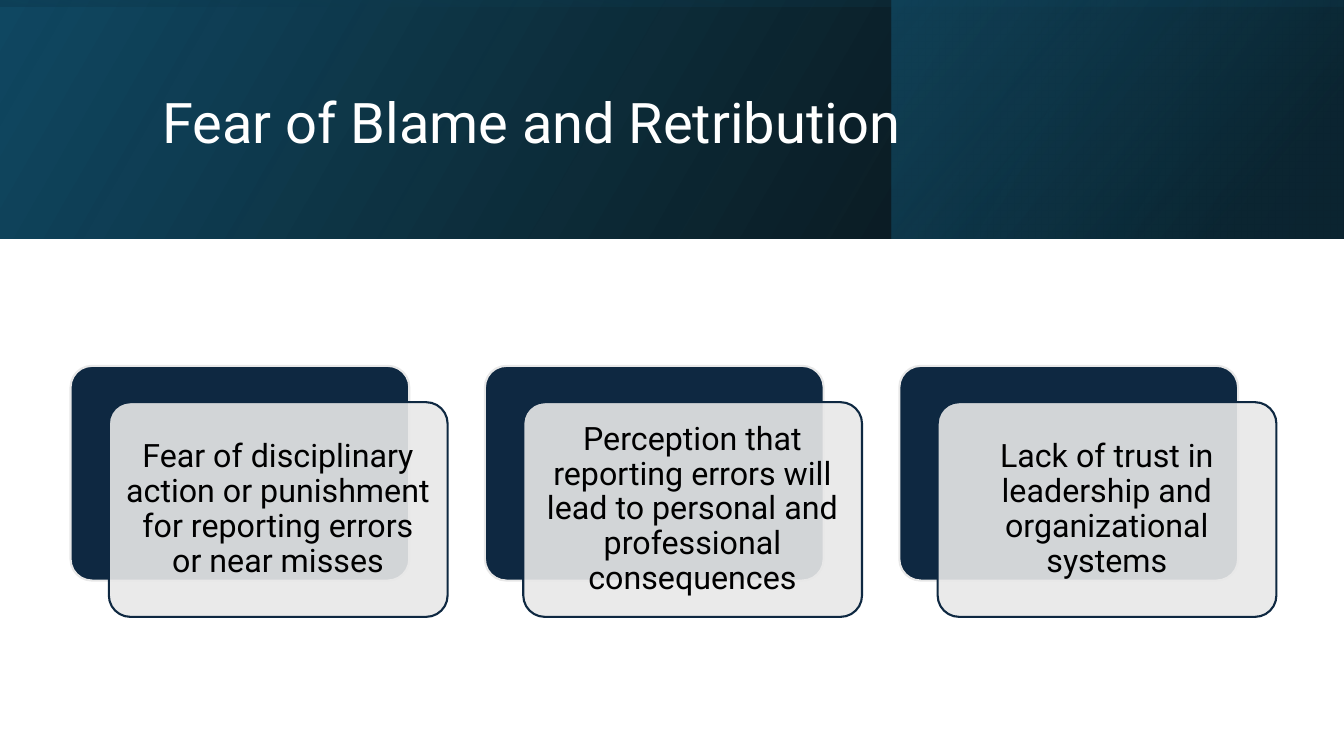
from lxml import etree
from pptx import Presentation
from pptx.dml.color import RGBColor
from pptx.enum.shapes import MSO_SHAPE as Shape
from pptx.enum.text import MSO_ANCHOR as Anchor, PP_ALIGN as Align
from pptx.oxml.ns import qn
from pptx.util import Inches, Pt

NAVY, LIGHT, BLACK, WHITE = "0E2841", "E8E8E8", "000000", "FFFFFF"


def color(value):
    return RGBColor.from_string(value)


def add_alpha(color_element, percent):
    etree.SubElement(color_element, qn("a:alpha"), val=str(percent * 1000))


class SlideBuilder:
    font_name = "Roboto"

    def __init__(self, slide):
        self.slide = slide

    def set_text(self, shape, text, size, text_color, align):
        frame = shape.text_frame
        frame.word_wrap = True
        frame.vertical_anchor = Anchor.MIDDLE
        frame.text = text
        paragraph = frame.paragraphs[0]
        paragraph.alignment = align
        paragraph.line_spacing = 0.9
        font = paragraph.runs[0].font
        font.name = self.font_name
        font.size = Pt(size)
        font.color.rgb = color(text_color)
        return frame

    def gradient_band(self, box, stops, angle, rotation=0):
        shape = self.slide.shapes.add_shape(Shape.RECTANGLE, *map(Inches, box))
        shape.shadow.inherit = False
        shape.line.fill.background()
        shape.rotation = rotation
        properties = shape._element.spPr
        properties.find(qn("a:xfrm")).set("flipH", "1")
        gradient = etree.Element(qn("a:gradFill"), rotWithShape="1")
        stop_list = etree.SubElement(gradient, qn("a:gsLst"))
        for position, value, opacity in stops:
            stop = etree.SubElement(stop_list, qn("a:gs"), pos=str(position * 1000))
            add_alpha(etree.SubElement(stop, qn("a:srgbClr"), val=value), opacity)
        etree.SubElement(gradient, qn("a:lin"), ang=str(angle * 60000), scaled="0")
        properties.find(qn("a:prstGeom")).addnext(gradient)

    def title(self, box, text):
        shape = self.slide.shapes.add_textbox(*map(Inches, box))
        self.set_text(shape, text, 40, WHITE, Align.LEFT)

    def panel(self, left, top, fill, line):
        shape = self.slide.shapes.add_shape(
            Shape.ROUNDED_RECTANGLE, Inches(left), Inches(top), Inches(3.36), Inches(2.13))
        shape.adjustments[0] = 0.1
        shape.shadow.inherit = False
        shape.fill.solid()
        shape.fill.fore_color.rgb = color(fill)
        shape.line.color.rgb = color(line)
        shape.line.width = Pt(1.5)
        return shape

    def card(self, left, top, text):
        self.panel(left, top, NAVY, LIGHT)
        front = self.panel(left + 0.38, top + 0.36, LIGHT, NAVY)
        fill = front._element.spPr.find(qn("a:solidFill"))
        add_alpha(fill.find(qn("a:srgbClr")), 90)
        frame = self.set_text(front, text, 23, BLACK, Align.CENTER)
        frame.margin_left = frame.margin_right = Inches(0.1)
        frame.margin_top = frame.margin_bottom = Inches(0.1)


def main():
    presentation = Presentation()
    presentation.slide_width = Inches(13.33)
    presentation.slide_height = Inches(7.5)
    builder = SlideBuilder(presentation.slides.add_slide(presentation.slide_layouts[6]))

    # Header: three layered gradients
    builder.gradient_band((0, 0, 13.33, 2.37), [(0, BLACK, 96), (100, "104862", 100)], 330)
    builder.gradient_band((8.84, 0, 4.48, 2.37), [(19, "0B3041", 68), (100, "156082", 48)], 320)
    builder.gradient_band((5.48, -5.48, 2.37, 13.33), [(23, "104862", 16), (99, BLACK, 45)],
                          350, rotation=270)
    builder.title((1.51, 0.38, 10.63, 1.72), "Fear of Blame and Retribution")

    # Row of reasons
    reasons = [
        "Fear of disciplinary action or punishment for reporting errors or near misses",
        "Perception that reporting errors will lead to personal and professional consequences",
        "Lack of trust in leadership and organizational systems",
    ]
    for index, reason in enumerate(reasons):
        builder.card(0.7 + 4.11 * index, 3.63, reason)

    presentation.save("out.pptx")


if __name__ == "__main__":
    main()
